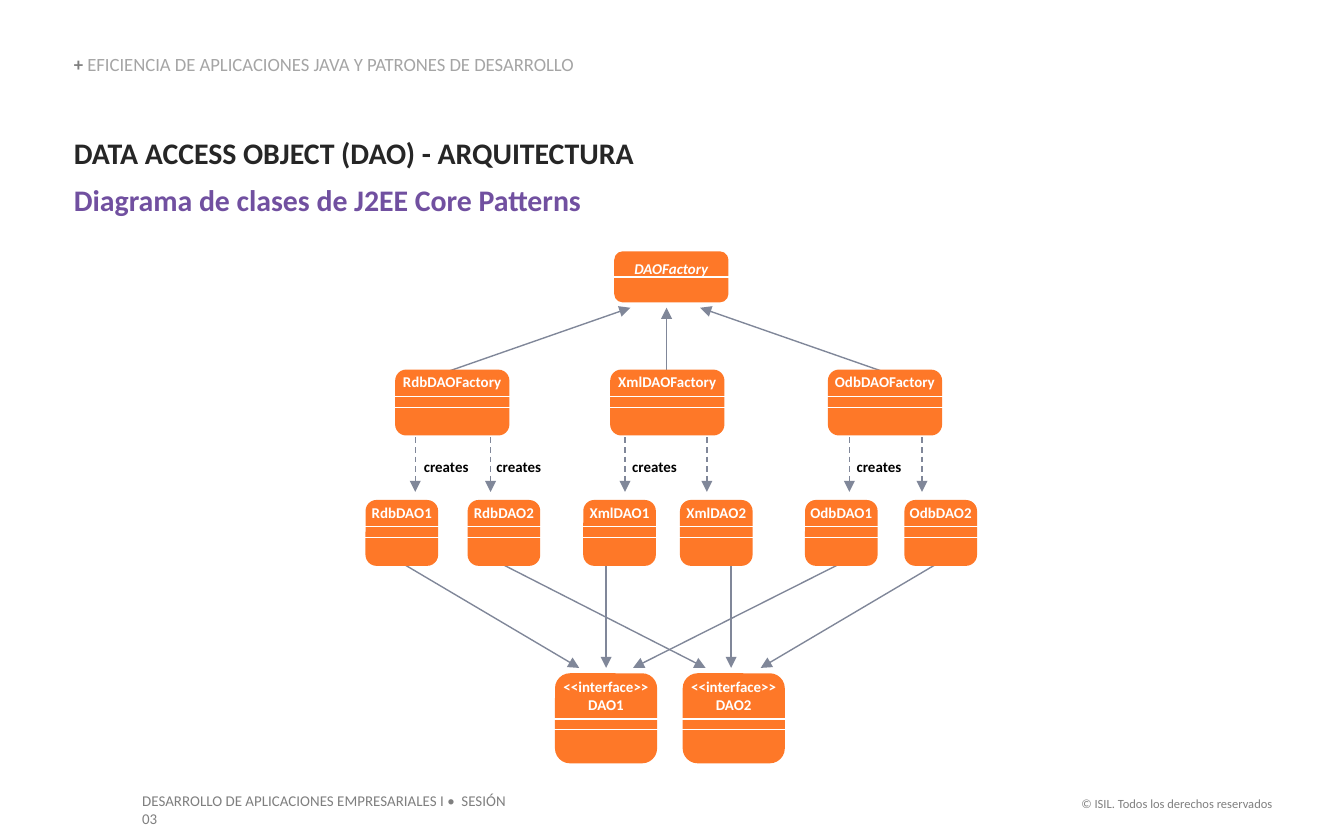
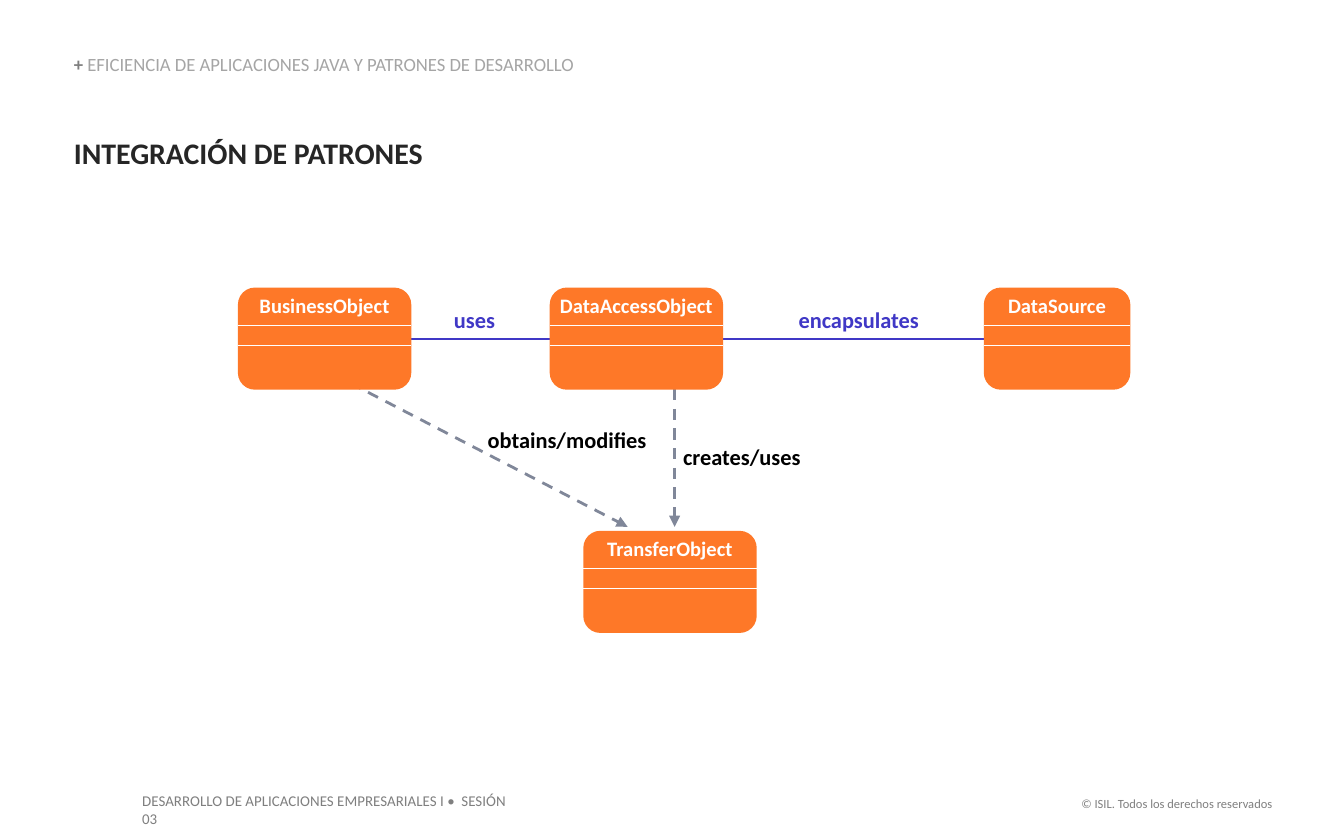
from pptx import Presentation
from pptx.dml.color import RGBColor
from pptx.enum.dml import MSO_LINE
from pptx.enum.shapes import MSO_CONNECTOR, MSO_SHAPE
from pptx.enum.text import MSO_ANCHOR, MSO_AUTO_SIZE, PP_ALIGN
from pptx.oxml.ns import qn
from pptx.util import Inches, Pt
from lxml import etree

LEFT, MID, RIGHT = PP_ALIGN.LEFT, PP_ALIGN.CENTER, PP_ALIGN.RIGHT
TOP, CENTER, BOTTOM = MSO_ANCHOR.TOP, MSO_ANCHOR.MIDDLE, MSO_ANCHOR.BOTTOM
ROUND, STRAIGHT = MSO_SHAPE.ROUNDED_RECTANGLE, MSO_CONNECTOR.STRAIGHT
DASH, FIXED = MSO_LINE.DASH, MSO_AUTO_SIZE.NONE

FONT = "Calibri"
ORANGE, WHITE, BLACK = "FE7828", "FFFFFF", "000000"
SLATE, BLUE, PURPLE = "808799", "4038C6", "7150A0"
DARK, GRAY, PALE = "262626", "7F7F7F", "A5A5A5"

# Text shared by the slides
TRAIL = [("+ ", {"color": GRAY, "bold": True}),
         ("EFICIENCIA DE APLICACIONES JAVA Y PATRONES DE DESARROLLO", {"color": PALE})]
COURSE = "DESARROLLO DE APLICACIONES EMPRESARIALES I •  SESIÓN 03"
RIGHTS = "© ISIL. Todos los derechos reservados"

# Slide 1: class tiers, each with top, box size, divider offsets and (text, left) pairs
DAO_TITLE = "DATA ACCESS OBJECT (DAO) - ARQUITECTURA"
DAO_SUB = "Diagrama de clases de J2EE Core Patterns"
ROOT = (1.87, 0.85, 0.38, [0.19], [("DAOFactory", 4.57)])
TIERS = [
    (2.75, 0.85, 0.49, [0.2, 0.28],
     [("RdbDAOFactory", 2.94), ("XmlDAOFactory", 4.54), ("OdbDAOFactory", 6.16)]),
    (3.72, 0.54, 0.49, [0.2, 0.28],
     [("RdbDAO1", 2.72), ("RdbDAO2", 3.48), ("XmlDAO1", 4.34),
      ("XmlDAO2", 5.06), ("OdbDAO1", 5.99), ("OdbDAO2", 6.73)]),
    (5.01, 0.76, 0.67, [0.34, 0.42],
     [("<<interface>>\nDAO1", 4.13), ("<<interface>>\nDAO2", 5.08)]),
]
INHERIT = [(4.96, 2.91, 4.96), (3.2, 2.81, 4.69), (6.7, 2.81, 5.21)]
CREATE = [3.65, 3.09, 4.65, 5.26, 6.32, 6.86]
CREATE_TAGS = [3.08, 3.62, 4.63, 6.3]
REALIZE = [(2.94, 4.16, 4.31), (4.51, 4.17, 4.51), (5.44, 4.17, 5.44),
           (3.72, 4.19, 5.25), (6.26, 4.19, 4.71), (7.03, 4.16, 5.66)]

# Slide 2: classes as (text, left, top, width), tags as (text, left, top, width, colour)
MIX_TITLE = "INTEGRACIÓN DE PATRONES"
CLASSES = [("BusinessObject", 1.77, 2.14, 1.29), ("DataAccessObject", 4.09, 2.14, 1.29),
           ("DataSource", 7.32, 2.14, 1.09), ("TransferObject", 4.34, 3.95, 1.29)]
FLOWS = [(5.02, 2.75, 5.02, 3.92), (2.22, 2.65, 4.67, 3.92)]
TAGS = [("uses", 3.29, 2.31, 0.48, BLUE), ("encapsulates", 5.87, 2.31, 1.04, BLUE),
        ("creates/uses", 5, 3.33, 1.04, BLACK), ("obtains/modifies", 3.5, 3.2, 1.44, BLACK)]


def paint(part, color):
    """Give a fill or line fill a solid colour."""
    part.solid()
    part.fore_color.rgb = RGBColor.from_string(color)


def write(frame, text, size=8, color=BLACK, bold=False, italic=False, align=LEFT,
          anchor=TOP, pad=(0, 0, 0, 0), wrap=True, lead=None):
    """Fill a frame; text is a string with line breaks, or a list of (string, format) runs."""
    frame.auto_size = FIXED
    frame.word_wrap = wrap
    frame.vertical_anchor = anchor
    (frame.margin_left, frame.margin_top,
     frame.margin_right, frame.margin_bottom) = map(Inches, pad)
    lines = [[(t, {})] for t in text.split("\n")] if isinstance(text, str) else [text]
    for i, line in enumerate(lines):
        para = frame.add_paragraph() if i else frame.paragraphs[0]
        para.alignment = align
        if lead:
            para.line_spacing = lead
        for words, own in line:
            run = para.add_run()
            run.text = words
            font = run.font
            font.name, font.size = FONT, Pt(size)
            font.bold, font.italic = own.get("bold", bold), italic
            paint(font.fill, own.get("color", color))


def label(slide, text, at, **form):
    box = slide.shapes.add_textbox(*map(Inches, at))
    write(box.text_frame, text, **form)


def tag(slide, text, at, **form):
    label(slide, text, at, bold=True, align=MID, anchor=CENTER, **form)


def line(slide, x1, y1, x2, y2, color=SLATE, width=0.75, dash=False, arrow=True):
    link = slide.shapes.add_connector(STRAIGHT, *map(Inches, (x1, y1, x2, y2)))
    paint(link.line.fill, color)
    link.line.width = Pt(width)
    if dash:
        link.line.dash_style = DASH
    if arrow:
        etree.SubElement(link.line._get_or_add_ln(), qn("a:tailEnd"), type="triangle")
    etree.SubElement(link._element.spPr, qn("a:effectLst"))


def entity(slide, text, at, cuts, over=0, **form):
    """Draw a class box with dividers at the given offsets from its top."""
    x, y, w, h = at
    box = slide.shapes.add_shape(ROUND, *map(Inches, at))
    box.shadow.inherit = False
    paint(box.fill, ORANGE)
    box.line.fill.background()
    form = {"pad": (0, 0, 0, 0.05), **form}
    write(box.text_frame, text, color=WHITE, bold=True, align=MID, wrap=False, **form)
    for cut in cuts:
        line(slide, x - over, y + cut, x + w + over, y + cut, WHITE, arrow=False)


def start(deck, title, sub=None):
    """Add a slide with its footer, trail and title."""
    slide = deck.slides.add_slide(deck.slide_layouts[5])
    pad = (0.1, 0.05, 0.1, 0.05)
    label(slide, RIGHTS, (7.92, 5.87, 1.65, 0.21), size=6.7, color=GRAY, align=RIGHT, pad=pad)
    label(slide, COURSE, (0.96, 5.84, 3.03, 0.24), color=GRAY, pad=pad)
    label(slide, TRAIL, (0.55, 0.41, 6.81, 0.15), size=10, anchor=BOTTOM, lead=0.9)
    head = slide.shapes.title
    head.left, head.top, head.width, head.height = map(
        Inches, (0.55, 1, 8.93, 0.62 if sub else 0.27))
    write(head.text_frame, f"{title}\n{sub}" if sub else title,
          size=16, color=DARK, bold=True)
    if sub:
        para = head.text_frame.paragraphs[1]
        para.space_before = Pt(6)
        paint(para.runs[0].font.fill, PURPLE)
    return slide


def draw_dao(deck):
    slide = start(deck, DAO_TITLE, DAO_SUB)
    for x1, y1, x2 in INHERIT:
        line(slide, x1, y1, x2, 2.29)
    for x in CREATE:
        line(slide, x, 3.04, x, 3.66, dash=True)
    for x in CREATE_TAGS:
        tag(slide, "creates", (x, 3.4, 0.48, 0.14))
    for x1, y1, x2 in REALIZE:
        line(slide, x1, y1, x2, 4.97)
    for tier in [ROOT] + TIERS:
        y, w, h, cuts, names = tier
        form = {"italic": True, "pad": (0.1, 0.04, 0.1, 0.05)} if tier is ROOT else {}
        for name, x in names:
            entity(slide, name, (x, y, w, h), cuts, over=0.03, **form)


def draw_mix(deck):
    slide = start(deck, MIX_TITLE)
    for flow in FLOWS:
        line(slide, *flow, width=1.5, dash=True)
    line(slide, 7.71, 2.52, 2.69, 2.52, BLUE, 1)
    for text, x, y, w, color in TAGS:
        tag(slide, text, (x, y, w, 0.14), size=12, color=color)
    for name, x, y, w in CLASSES:
        entity(slide, name, (x, y, w, 0.76), [0.28, 0.43], size=11)


def main():
    deck = Presentation()
    deck.slide_width, deck.slide_height = Inches(10), Inches(6.25)
    draw_dao(deck)
    draw_mix(deck)
    deck.save("out.pptx")


if __name__ == "__main__":
    main()
